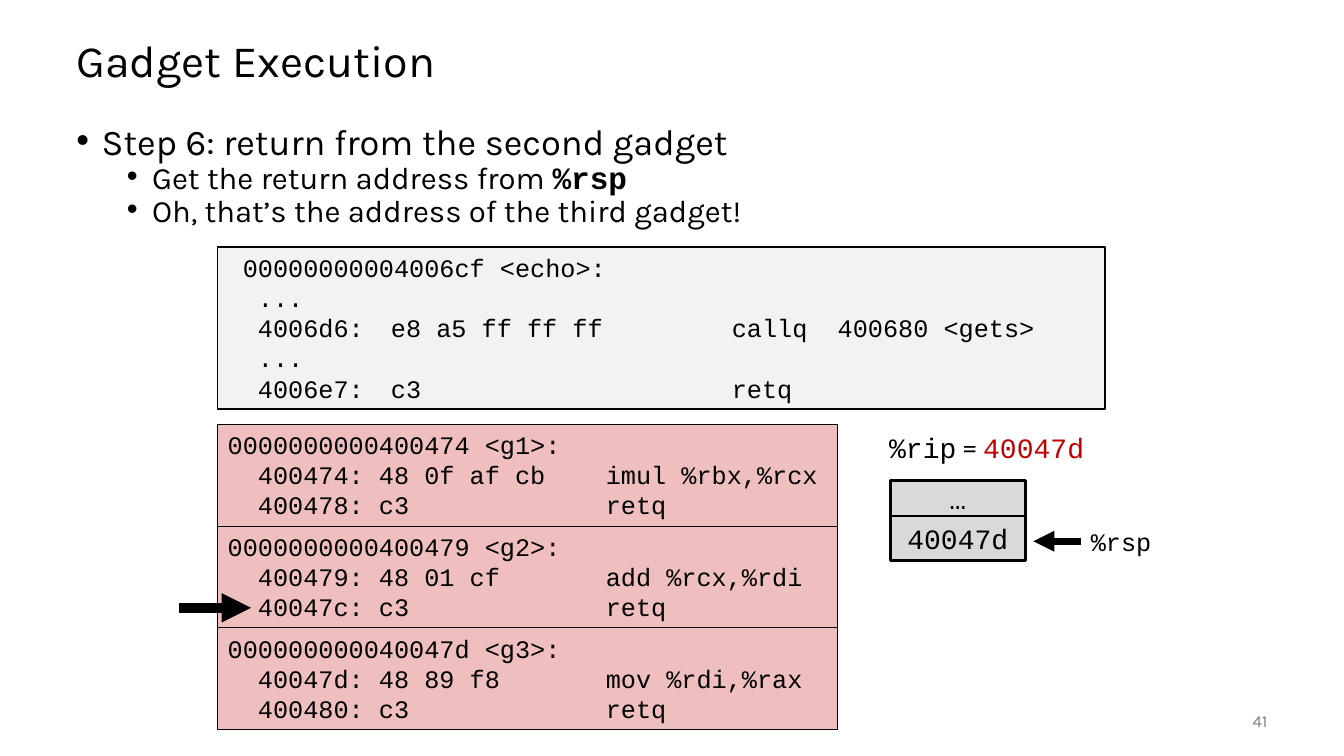
from pptx import Presentation
from pptx.dml.color import RGBColor as RGB
from pptx.enum.shapes import MSO_CONNECTOR as LINE, MSO_SHAPE as SHAPE
from pptx.enum.text import MSO_ANCHOR as ANCHOR, PP_ALIGN as ALIGN
from pptx.oxml.ns import qn
from pptx.util import Inches, Pt
from lxml.etree import SubElement

BLACK = RGB(0x00, 0x00, 0x00)
RED = RGB(0xC0, 0x00, 0x00)
PINK = RGB(0xEF, 0xBF, 0xBF)
PALE = RGB(0xF2, 0xF2, 0xF2)
GREY = RGB(0xD9, 0xD9, 0xD9)
DIM = RGB(0x80, 0x80, 0x80)
SANS, MONO = "Karla", "Courier New"

# Content
TITLE = "Gadget Execution"
# Each bullet: indent, size, space before, runs of (text, font, bold)
BULLETS = [
    (0.25, 25.9, 0, [("Step 6: return from the second gadget", SANS, False)]),
    (0.75, 22.2, 5, [("Get the return address from ", SANS, False),
                     ("%rsp", MONO, True)]),
    (0.75, 22.2, 5, [("Oh, that’s the address of the third gadget!", SANS, False)]),
]
ECHO = [
    " 00000000004006cf <echo>:",
    "  ...",
    "  4006d6:\te8 a5 ff ff ff\tcallq  400680 <gets>",
    "  ...",
    "  4006e7:\tc3\tretq",
]
GADGETS = [
    ["0000000000400474 <g1>:",
     "  400474: 48 0f af cb\timul %rbx,%rcx",
     "  400478: c3\tretq"],
    ["0000000000400479 <g2>:",
     "  400479: 48 01 cf\tadd %rcx,%rdi",
     "  40047c: c3\tretq"],
    ["000000000040047d <g3>:",
     "  40047d: 48 89 f8\tmov %rdi,%rax",
     "  400480: c3\tretq"],
]
RIP = [("%rip", MONO, BLACK), (" = ", "Calibri", BLACK), ("40047d", MONO, RED)]
STACK = [("…", 4.77, 0.35), ("40047d", 5.12, 0.44)]  # text, top, height
PAGE = "41"

# Layout
LEFT, TOP, WIDE, TALL = 2.16, 4.21, 6.15, 1.01  # first gadget box
ECHO_TABS, GADGET_TABS = (1.62, 5), (3.75,)

deck = Presentation()
deck.slide_width, deck.slide_height = Inches(13.33), Inches(7.5)
slide = deck.slides.add_slide(deck.slide_layouts[6])
shapes = slide.shapes


def add_run(para, text, size, font=SANS, color=BLACK, bold=False):
    run = para.add_run()
    run.text = text
    run.font.size, run.font.name = Pt(size), font
    run.font.bold, run.font.color.rgb = bold, color


def add_text(x, y, w, h, anchor=ANCHOR.TOP, wrap=True):
    box = shapes.add_textbox(*map(Inches, (x, y, w, h)))
    box.text_frame.word_wrap = wrap
    box.text_frame.vertical_anchor = anchor
    return box


def add_box(x, y, w, h, fill, weight, anchor=ANCHOR.TOP):
    box = shapes.add_shape(SHAPE.RECTANGLE, *map(Inches, (x, y, w, h)))
    box.shadow.inherit = False
    box.fill.solid()
    box.fill.fore_color.rgb = fill
    box.line.color.rgb, box.line.width = BLACK, Pt(weight)
    box.text_frame.vertical_anchor = anchor
    return box.text_frame


def add_code(frame, lines, tabs):
    for i, line in enumerate(lines):
        para = frame.add_paragraph() if i else frame.paragraphs[0]
        para.alignment = ALIGN.LEFT
        stops = SubElement(para._p.get_or_add_pPr(), qn("a:tabLst"))
        for tab in tabs:
            SubElement(stops, qn("a:tab"), pos=str(Inches(tab)), algn="l")
        add_run(para, line, 18, MONO)


def add_arrow(x1, x2, y, weight):
    arrow = shapes.add_connector(LINE.STRAIGHT, *map(Inches, (x1, y, x2, y)))
    arrow.line.color.rgb, arrow.line.width = BLACK, Pt(weight)
    SubElement(arrow.line._get_or_add_ln(), qn("a:tailEnd"), type="triangle")
    SubElement(arrow._element.spPr, qn("a:effectLst"))
    return arrow


# Title
para = add_text(0.66, 0.25, 12, 0.75, ANCHOR.MIDDLE).text_frame.paragraphs[0]
para.line_spacing = 0.9
add_run(para, TITLE, 32)

# Bullets
frame = add_text(0.66, 1.25, 12, 1.08).text_frame
for i, (indent, size, before, runs) in enumerate(BULLETS):
    para = frame.add_paragraph() if i else frame.paragraphs[0]
    para.level = 1 if i else 0
    para.line_spacing, para.space_before = 0.7, Pt(before)
    props = para._p.get_or_add_pPr()
    props.set("marL", str(Inches(indent)))
    props.set("indent", str(Inches(-0.25)))
    SubElement(props, qn("a:buFont"), typeface="Arial")
    SubElement(props, qn("a:buChar"), char="•")
    for text, font, bold in runs:
        add_run(para, text, size, font, bold=bold)

# Code listings
for i, lines in enumerate(GADGETS):
    add_code(add_box(LEFT, TOP + i * TALL, WIDE, TALL, PINK, 0.75), lines, GADGET_TABS)
add_code(add_box(LEFT, 2.45, 8.8, 1.61, PALE, 1), ECHO, ECHO_TABS)
add_arrow(1.78, 2.49, 6.03, 7)

# Registers and stack
para = add_text(8.72, 4.22, 2.15, 0.44, wrap=False).text_frame.paragraphs[0]
for text, font, color in RIP:
    add_run(para, text, 20, font, color)
for text, y, h in STACK:
    para = add_box(8.83, y, 1.34, h, GREY, 2, ANCHOR.MIDDLE).paragraphs[0]
    para.alignment = ALIGN.CENTER
    add_run(para, text, 20, MONO)
label = add_text(10.72, 5.17, 1.02, 0.4)
add_run(label.text_frame.paragraphs[0], "%rsp", 18, MONO)
add_arrow(10.72, 10.25, 5.37, 5).begin_connect(label, 1)

# Page number
para = add_text(11.67, 6.95, 1, 0.4, ANCHOR.MIDDLE).text_frame.paragraphs[0]
para.alignment = ALIGN.RIGHT
add_run(para, PAGE, 12, color=DIM)

deck.save("out.pptx")
